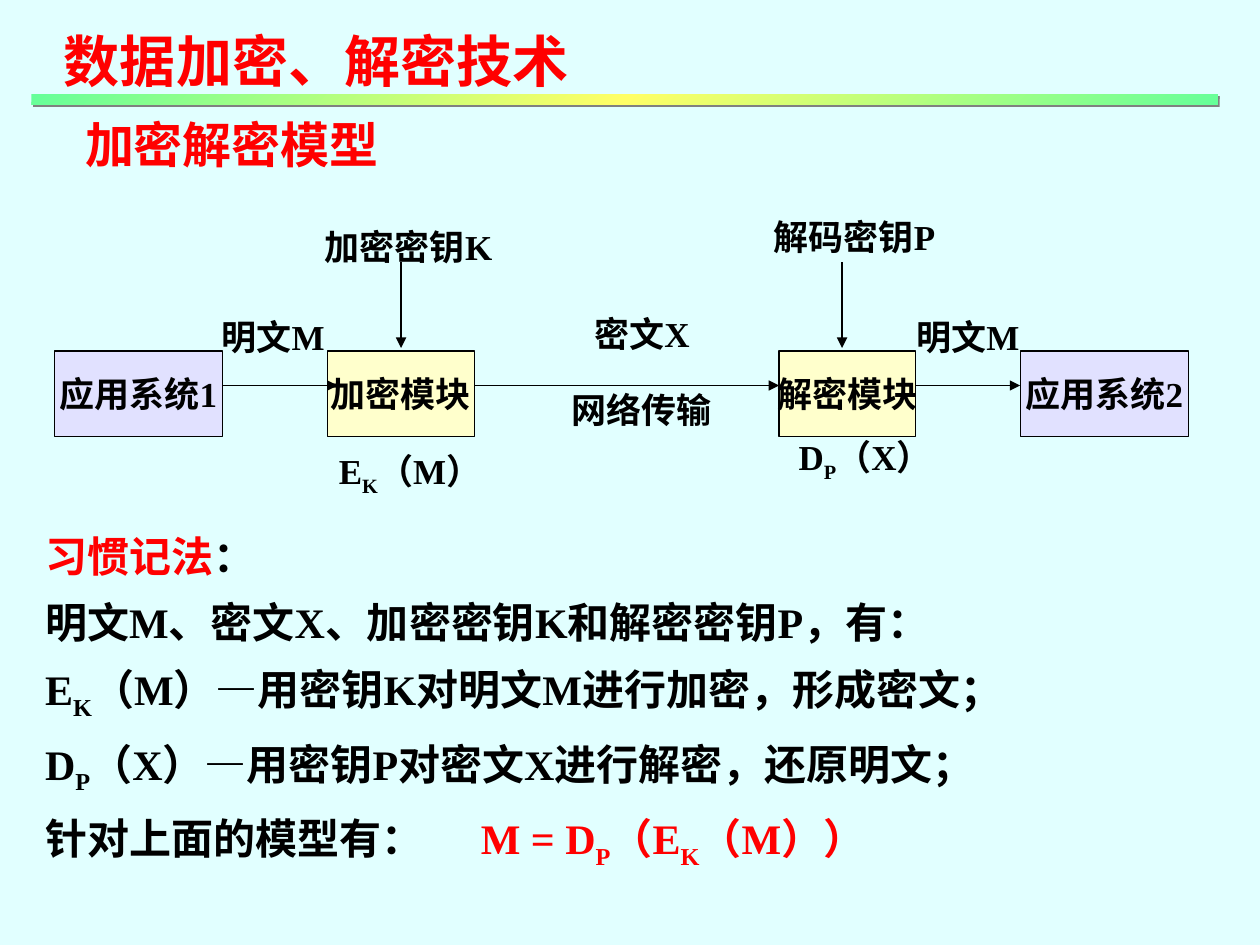
from collections import namedtuple
from dataclasses import dataclass
from itertools import pairwise

from lxml import etree
from pptx import Presentation
from pptx.dml.color import RGBColor
from pptx.enum import shapes, text
from pptx.oxml import parse_xml
from pptx.oxml.ns import nsdecls, qn
from pptx.util import Pt

Box = namedtuple("Box", "x y w h")


@dataclass(frozen=True)
class Theme:
    face: str = "Times New Roman"
    back: str = "E1FFFF"
    ink: str = "000000"
    red: str = "FF0000"
    lilac: str = "E1E1FF"
    cream: str = "FFFFCC"
    green: str = "66FF99"
    gold: str = "FFFF66"
    shade: str = "808080"
    title: int = 32
    head: int = 28
    body: int = 24
    label: int = 20
    line: float = 0.75


THEME = Theme()


def rgb(code):
    return RGBColor.from_string(code)


def inside(box, x, y, w, h):
    return Box(box.x + x, box.y + y, w, h)


def points(box):
    return [Pt(value) for value in box]


def style(para, size, color=None):
    font = para.font
    font.name, font.size, font.bold = THEME.face, Pt(size), True
    if color:
        font.color.rgb = rgb(color)


def add_runs(para, words, color=None):
    def add(part, sub=False):
        if part:
            run = para.add_run()
            run.text = part
            if color:
                run.font.color.rgb = rgb(color)
            if sub:
                run._r.get_or_add_rPr().set("baseline", "-25000")

    first, *rest = words.split("_")
    add(first)
    for part in rest:
        add(part[0], True)
        add(part[1:])


def add_label(slide, box, words, size, color):
    frame = slide.shapes.add_textbox(*points(box)).text_frame
    frame.word_wrap = False
    frame.auto_size = text.MSO_AUTO_SIZE.SHAPE_TO_FIT_TEXT
    para = frame.paragraphs[0]
    add_runs(para, words)
    style(para, size, color)


def add_block(slide, box, words, fill):
    block = slide.shapes.add_shape(shapes.MSO_SHAPE.RECTANGLE, *points(box))
    block.shadow.inherit = False
    block.fill.solid()
    block.fill.fore_color.rgb = rgb(fill)
    block.line.color.rgb = rgb(THEME.ink)
    block.line.width = Pt(THEME.line)
    frame = block.text_frame
    frame.word_wrap = False
    frame.vertical_anchor = text.MSO_ANCHOR.MIDDLE
    para = frame.paragraphs[0]
    para.alignment = text.PP_ALIGN.CENTER
    add_runs(para, words)
    style(para, THEME.label, THEME.ink)


def add_arrow(slide, *ends):
    arrow = slide.shapes.add_connector(
        shapes.MSO_CONNECTOR.STRAIGHT, *[Pt(end) for end in ends])
    arrow.line.color.rgb = rgb(THEME.ink)
    arrow.line.width = Pt(THEME.line)
    etree.SubElement(arrow.line._get_or_add_ln(), qn("a:tailEnd"), type="triangle")
    etree.SubElement(arrow._element.spPr, qn("a:effectLst"))


def add_bar(slide, box):
    bar = slide.shapes.add_shape(shapes.MSO_SHAPE.RECTANGLE, *points(box))
    bar.line.fill.background()
    props = bar._element.spPr
    stops = "".join(
        f'<a:gs pos="{pos}"><a:srgbClr val="{color}"/></a:gs>'
        for pos, color in ((0, THEME.green), (50000, THEME.gold), (100000, THEME.green)))
    props.find(qn("a:ln")).addprevious(parse_xml(
        f'<a:gradFill {nsdecls("a")} rotWithShape="1"><a:gsLst>{stops}</a:gsLst>'
        '<a:lin ang="2700000" scaled="1"/></a:gradFill>'))
    props.append(parse_xml(
        f'<a:effectLst {nsdecls("a")}><a:outerShdw dist="{Pt(1.4)}" dir="2700000" '
        f'algn="ctr" rotWithShape="0"><a:srgbClr val="{THEME.shade}"/>'
        '</a:outerShdw></a:effectLst>'))


def header(slide, box):
    add_label(slide, inside(box, 11.5, 0, 305, 46),
              "数据加密、解密技术", THEME.title, THEME.red)
    add_bar(slide, inside(box, 0, 42.5, box.w, 6))
    add_label(slide, inside(box, 23.5, 50.5, 184, 41),
              "加密解密模型", THEME.head, THEME.red)


def model(slide, box):
    blocks = (
        ("应用系统1", 0, 96, THEME.lilac),
        ("加密模块", 156, 84.3, THEME.cream),
        ("解密模块", 414.2, 78, THEME.cream),
        ("应用系统2", 552, 96, THEME.lilac),
    )
    for words, x, width, fill in blocks:
        add_block(slide, inside(box, x, 81.6, width, 49), words, fill)

    labels = (
        ("明文M", 88.5, 57.5, 78),
        ("密文X", 301.5, 56, 73.5),
        ("明文M", 485.5, 57.5, 78),
        ("网络传输", 288.5, 99.3, 95),
        ("加密密钥K", 147.5, 6.3, 116),
        ("解码密钥P", 404, 0.5, 112),
        ("E_K（M）", 155.5, 134.5, 110),
        ("D_P（X）", 418.3, 126.5, 105),
    )
    for words, x, y, width in labels:
        add_label(slide, inside(box, x, y, width, 31.5),
                  words, THEME.label, THEME.ink)

    flow = box.y + 101.3
    for (left, right), extra in zip(pairwise(blocks), (6, 0, 0)):
        add_arrow(slide, box.x + left[1] + left[2], flow,
                  box.x + right[1] + extra, flow)
    for x in (198.2, 450.2):
        add_arrow(slide, box.x + x, box.y + 31, box.x + x, box.y + 79.8)


def notes(slide, box):
    ink, red = THEME.ink, THEME.red
    lines = (
        (("习惯记法", red), ("：", ink)),
        (("明文M、密文X、加密密钥K和解密密钥P，有：", ink),),
        (("E_K（M）—用密钥K对明文M进行加密，形成密文；", ink),),
        (("D_P（X）—用密钥P对密文X进行解密，还原明文；", ink),),
        (("针对上面的模型有：\t", ink), ("M = D_P（E_K（M））", red)),
    )
    frame = slide.shapes.add_textbox(*points(box)).text_frame
    frame.word_wrap = False
    frame.auto_size = text.MSO_AUTO_SIZE.SHAPE_TO_FIT_TEXT
    for index, parts in enumerate(lines):
        para = frame.add_paragraph() if index else frame.paragraphs[0]
        para.line_spacing = 1.3
        if len(parts) == 1:
            add_runs(para, parts[0][0])
            style(para, THEME.body, ink)
            continue
        if "\t" in parts[0][0]:
            tabs = etree.SubElement(para._p.get_or_add_pPr(), qn("a:tabLst"))
            etree.SubElement(tabs, qn("a:tab"), pos=str(Pt(249)), algn="l")
        for words, color in parts:
            add_runs(para, words, color)
        style(para, THEME.body)


def main():
    deck = Presentation()
    deck.slide_width, deck.slide_height = Pt(720), Pt(540)
    slide = deck.slides.add_slide(deck.slide_layouts[6])
    slide.background.fill.solid()
    slide.background.fill.fore_color.rgb = rgb(THEME.back)
    header(slide, Box(18, 11.5, 678, 92))
    notes(slide, Box(18.7, 291.2, 601, 210))
    model(slide, Box(31, 119, 648, 169))
    deck.save("out.pptx")


if __name__ == "__main__":
    main()
